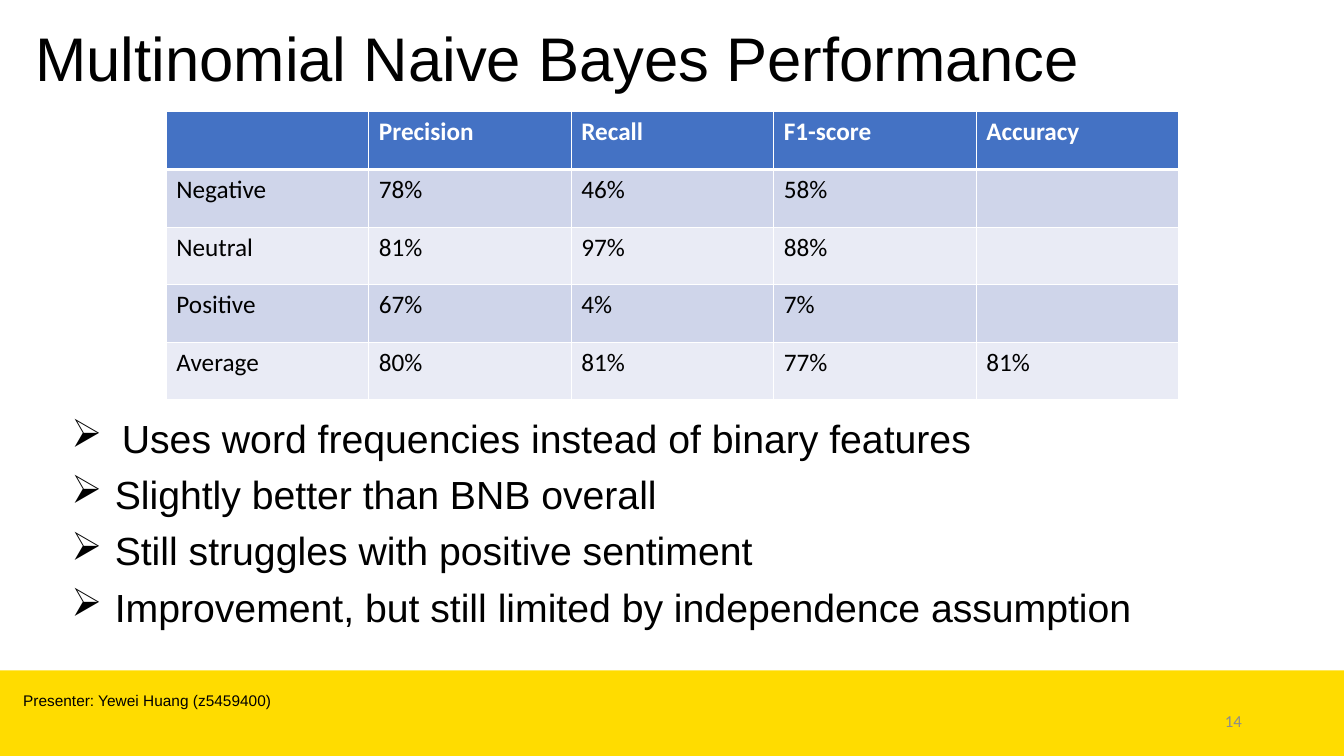
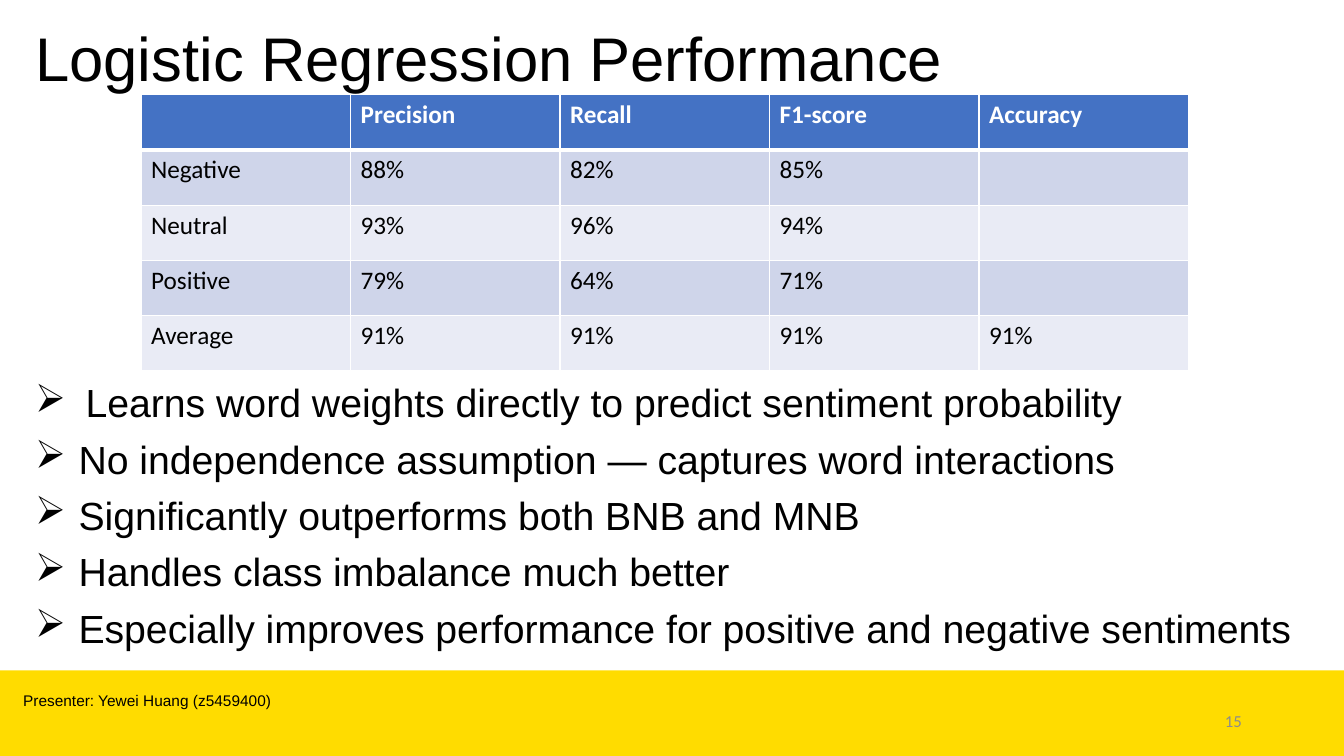
from dataclasses import dataclass

from lxml.etree import SubElement
from pptx import Presentation
from pptx.dml.color import RGBColor as RGB
from pptx.enum.shapes import MSO_SHAPE as Shape
from pptx.enum.text import MSO_ANCHOR as Anchor, PP_ALIGN as Align
from pptx.oxml import parse_xml
from pptx.oxml.ns import nsdecls, qn
from pptx.util import Inches, Pt


@dataclass(frozen=True)
class Theme:
    heading_font: str = "Arial"
    table_font: str = "Calibri"
    title_size: int = 44
    bullet_size: int = 28
    table_size: int = 18
    number_size: int = 12
    presenter_size: int = 11
    ink: RGB = RGB(0x00, 0x00, 0x00)
    paper: RGB = RGB(0xFF, 0xFF, 0xFF)
    muted: RGB = RGB(0x8C, 0x8C, 0x8C)
    band: RGB = RGB(0xFF, 0xDC, 0x00)
    header: RGB = RGB(0x44, 0x72, 0xC4)
    stripes: tuple = (RGB(0xCF, 0xD5, 0xEA), RGB(0xE9, 0xEB, 0xF5))


theme = Theme()
deck = Presentation()
deck.slide_width, deck.slide_height = Inches(13.33), Inches(7.5)


def place(left, top, width, height):
    """Turn percentages of the slide's width and height into lengths."""
    across, down = deck.slide_width / 100, deck.slide_height / 100
    return (round(left * across), round(top * down),
            round(width * across), round(height * down))


def add_text(slide, area, lines, size, font=theme.heading_font,
             color=theme.ink, anchor=Anchor.TOP, spacing=1.0):
    """Add a wrapped text box and return its paragraphs."""
    frame = slide.shapes.add_textbox(*place(*area)).text_frame
    frame.word_wrap = True
    frame.vertical_anchor = anchor
    frame.text = "\n".join(lines)
    for paragraph in frame.paragraphs:
        paragraph.line_spacing = spacing
        paragraph.font.size, paragraph.font.name = Pt(size), font
        paragraph.font.color.rgb = color
    return frame.paragraphs


# Areas are left, top, width and height in percent of the slide
BAND_AREA = (0, 88.67, 100, 11.33)
TITLE_AREA = (1.88, 2, 95.4, 12.27)
NUMBER_AREA = (70.65, 92.67, 22.5, 5.33)
PRESENTER_AREA = (0.98, 90.8, 60.1, 3.87)

FIRST_NUMBER = 14
PRESENTER = "Presenter: Yewei Huang (z5459400)"
MEASURES = ["", "Precision", "Recall", "F1-score", "Accuracy"]
FIRST_INDENT, NEXT_INDENT = Inches(0.5), Inches(0.43)

models = [
    {
        "title": "Multinomial Naive Bayes Performance",
        "table_area": (12.38, 14.8, 75.32, 38.13),
        "scores": [
            ["Negative", "78%", "46%", "58%", ""],
            ["Neutral", "81%", "97%", "88%", ""],
            ["Positive", "67%", "4%", "7%", ""],
            ["Average", "80%", "81%", "77%", "81%"],
        ],
        "findings_area": (4.58, 54.8, 88.67, 34.67),
        "findings": [
            "Uses word frequencies instead of binary features",
            "Slightly better than BNB overall",
            "Still struggles with positive sentiment",
            "Improvement, but still limited by independence assumption",
        ],
    },
    {
        "title": "Logistic Regression Performance",
        "table_area": (10.5, 12.53, 77.94, 36.53),
        "scores": [
            ["Negative", "88%", "82%", "85%", ""],
            ["Neutral", "93%", "96%", "94%", ""],
            ["Positive", "79%", "64%", "71%", ""],
            ["Average", "91%", "91%", "91%", "91%"],
        ],
        "findings_area": (1.88, 50.13, 95.35, 44.53),
        "findings": [
            "Learns word weights directly to predict sentiment probability",
            "No independence assumption — captures word interactions",
            "Significantly outperforms both BNB and MNB",
            "Handles class imbalance much better",
            "Especially improves performance for positive and negative sentiments",
        ],
    },
]

for number, model in enumerate(models, FIRST_NUMBER):
    slide = deck.slides.add_slide(deck.slide_layouts[6])

    band = slide.shapes.add_shape(Shape.RECTANGLE, *place(*BAND_AREA))
    band.shadow.inherit = False
    band.fill.solid()
    band.fill.fore_color.rgb = theme.band
    band.line.fill.background()

    add_text(slide, TITLE_AREA, [model["title"]], theme.title_size,
             anchor=Anchor.MIDDLE, spacing=0.9)

    findings = add_text(slide, model["findings_area"], model["findings"],
                        theme.bullet_size, spacing=0.9)
    for order, finding in enumerate(findings):
        finding.space_before = Pt(10)
        indent = NEXT_INDENT if order else FIRST_INDENT
        properties = finding._p.get_or_add_pPr()
        properties.set("marL", str(indent))
        properties.set("indent", str(-indent))
        bullet = SubElement(properties, qn("a:buChar"), char="➢")
        properties.find(qn("a:defRPr")).addprevious(bullet)

    [page] = add_text(slide, NUMBER_AREA, [str(number)], theme.number_size,
                      theme.table_font, theme.muted, Anchor.MIDDLE)
    page.alignment = Align.RIGHT
    add_text(slide, PRESENTER_AREA, [PRESENTER], theme.presenter_size)

    rows = [MEASURES] + model["scores"]
    table = slide.shapes.add_table(len(rows), len(MEASURES),
                                   *place(*model["table_area"])).table
    for row, values in enumerate(rows):
        is_header = row == 0
        for column, value in enumerate(values):
            cell = table.cell(row, column)
            cell.text = value
            cell.fill.solid()
            cell.fill.fore_color.rgb = (
                theme.header if is_header else theme.stripes[(row - 1) % 2])
            font = cell.text_frame.paragraphs[0].font
            font.name, font.size = theme.table_font, Pt(theme.table_size)
            font.bold = is_header
            font.color.rgb = theme.paper if is_header else theme.ink

            # The rule between header and body is heavier than the rest
            weights = {"L": 1, "R": 1, "T": 3 if row == 1 else 1,
                       "B": 3 if is_header else 1}
            for position, (side, weight) in enumerate(weights.items()):
                cell._tc.get_or_add_tcPr().insert(position, parse_xml(
                    f'<a:ln{side} {nsdecls("a")} w="{Pt(weight)}"><a:solidFill>'
                    f'<a:srgbClr val="{theme.paper}"/></a:solidFill></a:ln{side}>'))

deck.save("out.pptx")
